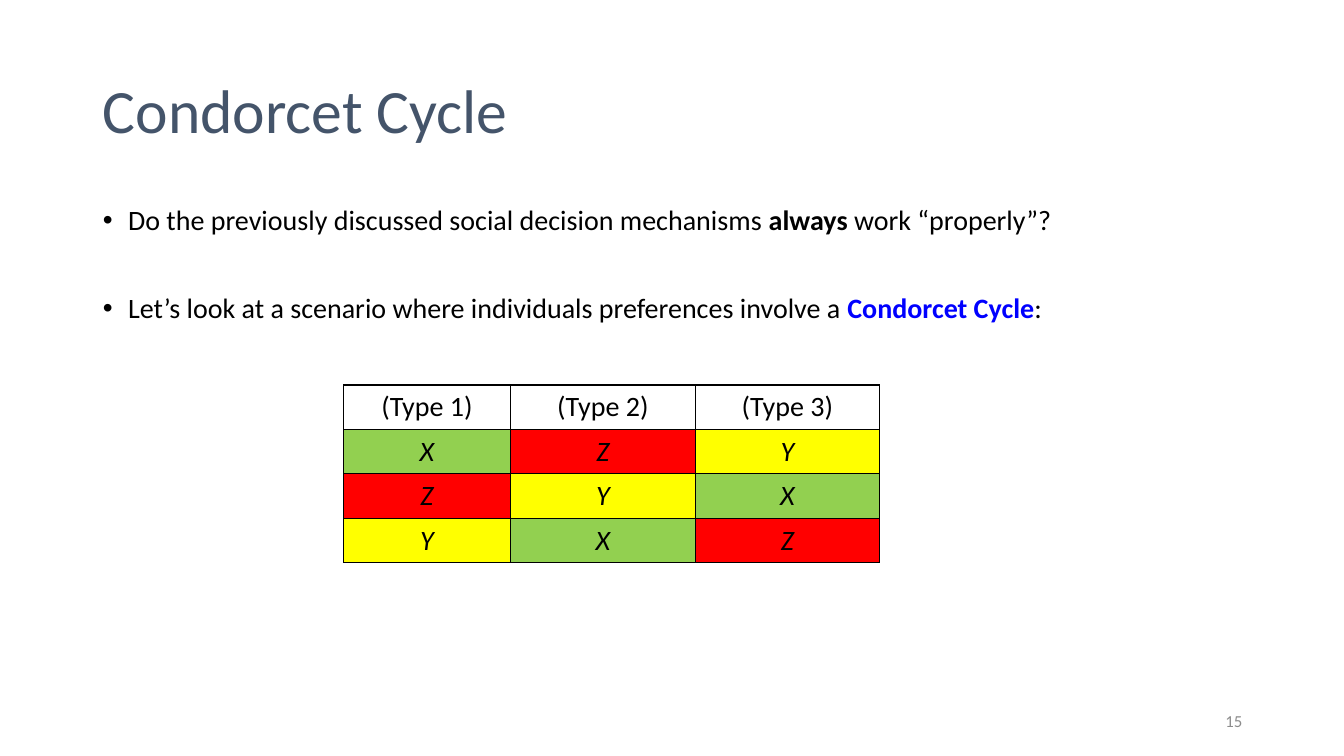
import pptx
import pptx.util
import pptx.dml.color
import pptx.enum.text
import pptx.oxml
import pptx.oxml.ns

Inch = pptx.util.Inches
Pt = pptx.util.Pt
Align = pptx.enum.text.PP_ALIGN
Mid = pptx.enum.text.MSO_ANCHOR.MIDDLE
NS = pptx.oxml.ns.nsdecls("a")


class Theme:
    font = "Calibri"
    ink, head, note, key = "000000", "44546A", "8C8C8C", "0000FF"
    fills = {"X": "92D050", "Y": "FFFF00", "Z": "FF0000"}
    title, body, small = 44, 20, 12


def paint(text, size, color=Theme.ink, **more):
    """Set the font of a paragraph or run."""
    form = {"name": Theme.font, "size": Pt(size), **more}
    for key, value in form.items():
        setattr(text.font, key, value)
    text.font.color.rgb = pptx.dml.color.RGBColor.from_string(color)


def place(shape, box):
    for key, value in zip(("left", "top", "width", "height"), box):
        setattr(shape, key, Inch(value))
    frame = shape.text_frame
    frame.word_wrap = True
    frame.auto_size = pptx.enum.text.MSO_AUTO_SIZE.NONE
    return frame


def add_title(slide, box, text):
    frame = place(slide.shapes.title, box)
    frame.vertical_anchor = Mid
    para = frame.paragraphs[0]
    para.alignment, para.line_spacing = Align.LEFT, 0.9
    run = para.add_run()
    run.text = text
    paint(run, Theme.title, Theme.head)


def add_list(slide, box, items, gap):
    frame = place(slide.placeholders[1], box)
    for row, item in enumerate(items):
        para = frame.add_paragraph() if row else frame.paragraphs[0]
        para.line_spacing = 0.9
        para.space_before = Pt(gap if row else 0)
        props = para._p.get_or_add_pPr()
        props.set("marL", str(Inch(0.25)))
        props.set("indent", str(-Inch(0.25)))
        for tag in ('buFont typeface="Arial"', 'buChar char="•"'):
            props.append(pptx.oxml.parse_xml(f"<a:{tag} {NS}/>"))
        for text, color, bold in item:
            run = para.add_run()
            run.text = text
            paint(run, Theme.body, color, bold=bold)


def edge(cell):
    """Draw a thin line on all four sides of a cell."""
    props = cell._tc.get_or_add_tcPr()
    for spot, side in enumerate(("lnL", "lnR", "lnT", "lnB")):
        props.insert(spot, pptx.oxml.parse_xml(
            f'<a:{side} {NS} w="{Pt(1)}"><a:solidFill>'
            f'<a:srgbClr val="{Theme.ink}"/></a:solidFill></a:{side}>'))


def add_grid(slide, spot, widths, high, rows):
    size = (sum(widths), high * len(rows))
    table = slide.shapes.add_table(
        len(rows), len(widths), *map(Inch, spot + size)).table
    table.first_row = table.horz_banding = False
    for col, wide in zip(table.columns, widths):
        col.width = Inch(wide)
    for line, texts in zip(table.rows, rows):
        line.height = Inch(high)
        for cell, text in zip(line.cells, texts):
            fill = Theme.fills.get(text)
            if fill:
                cell.fill.solid()
                cell.fill.fore_color.rgb = (
                    pptx.dml.color.RGBColor.from_string(fill))
            else:
                cell.fill.background()
            para = cell.text_frame.paragraphs[0]
            para.alignment = Align.CENTER
            run = para.add_run()
            run.text = text
            paint(run, Theme.body, italic=bool(fill))
            edge(cell)


def add_number(slide, box, text):
    frame = place(slide.shapes.add_textbox(*map(Inch, box)), box)
    frame.vertical_anchor = Mid
    para = frame.paragraphs[0]
    para.alignment = Align.RIGHT
    run = para.add_run()
    run.text = text
    paint(run, Theme.small, Theme.note)


def main():
    deck = pptx.Presentation()
    deck.slide_width, deck.slide_height = Inch(13.33), Inch(7.5)
    slide = deck.slides.add_slide(deck.slide_layouts[1])
    left, wide = 0.92, 11.5

    # Title and bullets
    add_title(slide, (left, 0.4, wide, 1.45), "Condorcet Cycle")
    add_list(slide, (left, 2, wide, 1.59), [
        [("Do the previously discussed social decision mechanisms ",
          Theme.ink, False),
         ("always", Theme.ink, True),
         (" work “properly”?", Theme.ink, False)],
        [("Let’s look at a scenario where individuals preferences involve a ",
          Theme.ink, False),
         ("Condorcet Cycle", Theme.key, True),
         (":", Theme.ink, False)],
    ], gap=41)

    # Preference table, best choice first
    types = [f"(Type {n})" for n in (1, 2, 3)]
    add_grid(slide, (3.41, 3.82), (1.65, 1.84, 1.82), 0.44,
             [types, "XZY", "ZYX", "YXZ"])

    # Page number
    add_number(slide, (left + wide - 3, 6.95, 3, 0.4), "15")
    deck.save("out.pptx")


if __name__ == "__main__":
    main()
